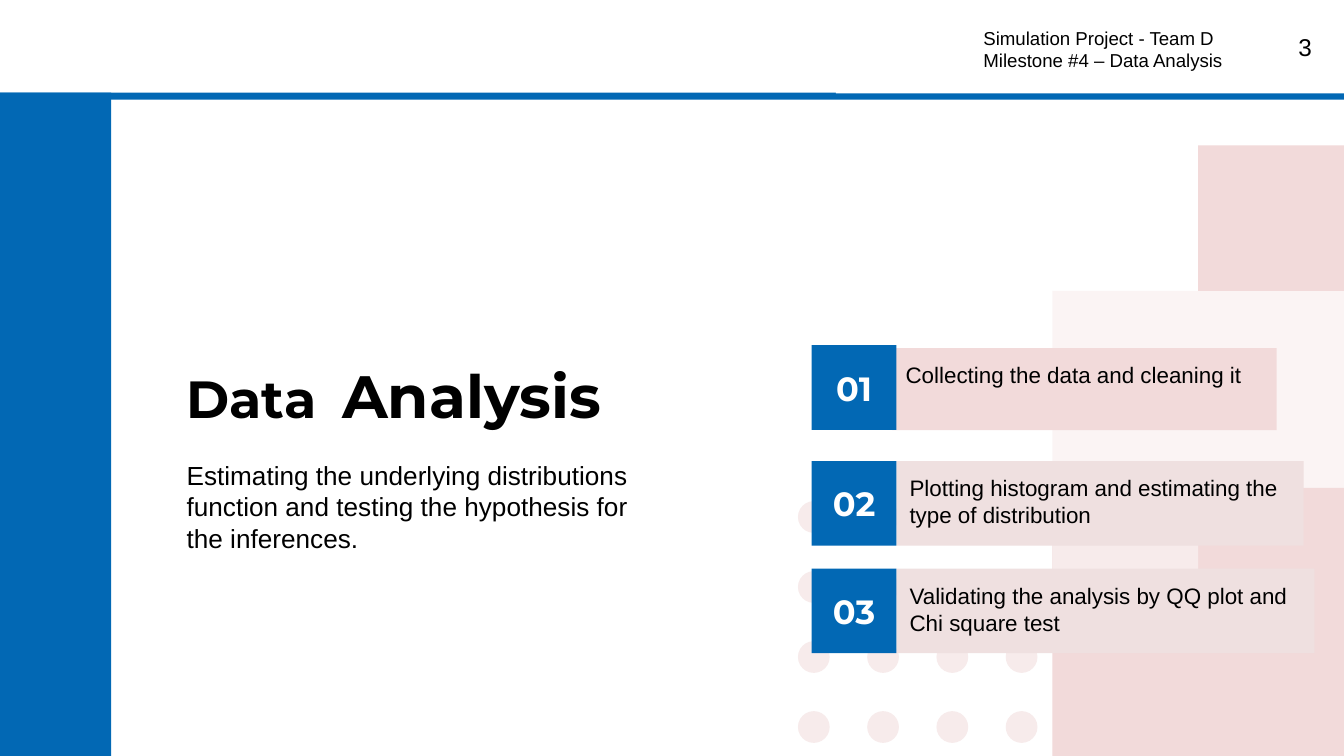
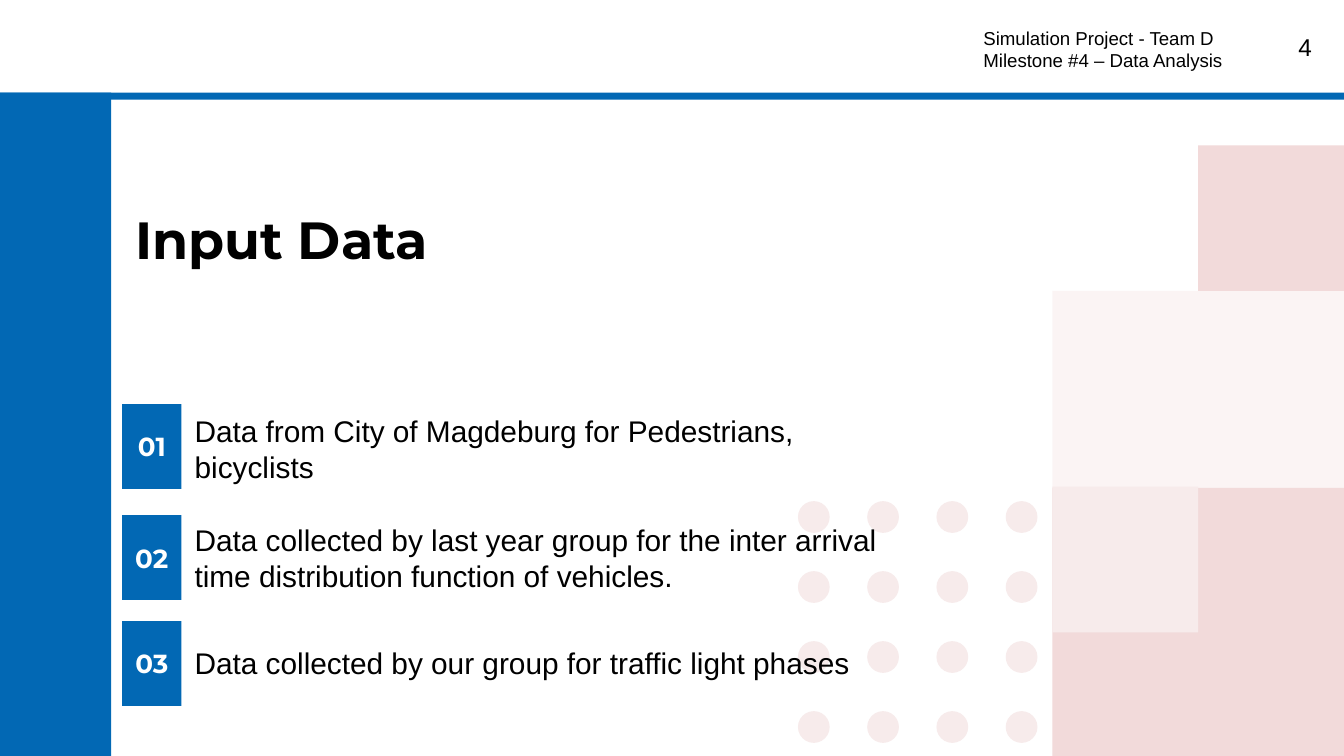
import pptx
import pptx.util
import pptx.dml.color
import pptx.enum.shapes
import pptx.enum.text
import lxml.etree

Pt = pptx.util.Pt
RGBColor = pptx.dml.color.RGBColor
SHAPE = pptx.enum.shapes.MSO_SHAPE
ALIGN = pptx.enum.text.PP_ALIGN
ANCHOR = pptx.enum.text.MSO_ANCHOR

BLUE = RGBColor(0x02, 0x68, 0xB4)
ROSE = RGBColor(0xF2, 0xDA, 0xDA)
PALE_ROSE = RGBColor(0xF7, 0xEB, 0xEB)
GREY_ROSE = RGBColor(0xEF, 0xE0, 0xE0)
WHITE = RGBColor(0xFF, 0xFF, 0xFF)
BLACK = RGBColor(0, 0, 0)

BODY = {"name": "Arial", "bold": False}
HEADING = {"name": "Montserrat", "bold": True}


def add_box(page, place, fill=None, kind=SHAPE.RECTANGLE):
    lengths = [Pt(value) for value in place]
    if fill is None:
        return page.shapes.add_textbox(*lengths)
    box = page.shapes.add_shape(kind, *lengths)
    box.shadow.inherit = False
    box.fill.solid()
    box.fill.fore_color.rgb = fill
    box.line.fill.background()
    return box


def write(box, paragraphs, font, color=BLACK, align=ALIGN.LEFT, anchor=ANCHOR.TOP,
          inset=(7.2, 7.2), after=0):
    side, end = inset
    frame_format = {
        "word_wrap": True, "vertical_anchor": anchor,
        "margin_left": Pt(side), "margin_right": Pt(side),
        "margin_top": Pt(end), "margin_bottom": Pt(end),
    }
    for key, value in frame_format.items():
        setattr(box.text_frame, key, value)
    for index, spans in enumerate(paragraphs):
        para = box.text_frame.paragraphs[0] if index == 0 else box.text_frame.add_paragraph()
        for key, value in {"alignment": align, "space_after": Pt(after)}.items():
            setattr(para, key, value)
        for text, size in spans:
            span = para.add_run()
            span.text = text
            for key, value in {**font, "size": Pt(size)}.items():
                setattr(span.font, key, value)
            span.font.color.rgb = color


deck = pptx.Presentation()
deck.slide_width = Pt(720)
deck.slide_height = Pt(405)

slides = [
    {
        "number": "3",
        "dots_per_row": [2, 2, 4, 4],
        "title": [("Data", 28), (" ", 48), ("Analysis", 32)],
        "title_place": (92.9, 169.2, 279.4, 69.8),
        "badge_left": 434.9, "badge_width": 45.4, "badge_size": 18,
        "badge_tops": [185, 247, 304.6],
        "item_size": 12, "item_after": 8, "item_inset": (7.2, 7.2),
        "items": [
            ("Collecting the data and cleaning it", (478.1, 186.5, 205.9, 43.9), ROSE),
            ("Plotting histogram and estimating the type of distribution",
             (480.2, 247, 218.2, 45.4), GREY_ROSE),
            ("Validating the analysis by QQ plot and Chi square test",
             (480.2, 304.6, 223.9, 45.4), GREY_ROSE),
        ],
    },
    {
        "number": "4",
        "dots_per_row": [4, 4, 4, 4],
        "title": [("Input Data", 28)],
        "title_place": (65.5, 103.7, 262.1, 53.3),
        "badge_left": 65.5, "badge_width": 31.7, "badge_size": 14,
        "badge_tops": [216.5, 276, 332.8],
        "item_size": 16, "item_after": 0, "item_inset": (7.2, 3.6),
        "items": [
            ("Data from City of Magdeburg for Pedestrians, bicyclists",
             (97.2, 217.4, 398.9, 46), None),
            ("Data collected by last year group for the inter arrival "
             "time distribution function of vehicles.", (97.2, 275.8, 398.9, 46), None),
            ("Data collected by our group for traffic light phases",
             (97.2, 342, 398.9, 26.6), None),
        ],
    },
]

pages = []
for content in slides:
    page = deck.slides.add_slide(deck.slide_layouts[6])
    pages.append(page)

    for row, count in enumerate(content["dots_per_row"]):
        for column in range(count):
            add_box(page, (427.5 + 37.1 * column, 268.5 + 37.5 * row, 17, 17),
                    PALE_ROSE, SHAPE.OVAL)

    veil = add_box(page, (563.8, 155.8, 156.2, 105.2), ROSE)
    color_element = veil.fill._xPr.find(".//" + pptx.oxml.ns.qn("a:srgbClr"))
    lxml.etree.SubElement(color_element, pptx.oxml.ns.qn("a:alpha"), val="28000")

    for place, fill in [
        ((0, 0, 59.6, 405), BLUE),
        ((641.9, 77.9, 78.1, 78), ROSE),
        ((563.8, 261.2, 156.2, 143.8), ROSE),
        ((563.8, 260.8, 78.1, 78), PALE_ROSE),
        ((0, 0, 720, 49.7), WHITE),
        ((0, 49.7, 720, 3.8), BLUE),
    ]:
        add_box(page, place, fill)

    if content["number"] == "3":
        add_box(page, (447.8, 0, 272.2, 50.1), WHITE)

    write(add_box(page, (666.7, 10.1, 43.2, 31)), [[(content["number"], 13)]],
          BODY, align=ALIGN.RIGHT)
    write(add_box(page, (519.8, 7.2, 167.8, 40.3)),
          [[("Simulation Project - Team D", 10)], [("Milestone #4 – Data Analysis", 10)]], BODY)
    write(add_box(page, content["title_place"]), [content["title"]], HEADING)

    for text, place, fill in content["items"]:
        write(add_box(page, place, fill), [[(text, content["item_size"])]], BODY,
              inset=content["item_inset"], after=content["item_after"])
    for index, top in enumerate(content["badge_tops"], 1):
        badge = add_box(page, (content["badge_left"], top, content["badge_width"], 45.4), BLUE)
        write(badge, [[(f"{index:02}", content["badge_size"])]], HEADING, WHITE,
              ALIGN.CENTER, ANCHOR.MIDDLE, (0, 7.2))

write(add_box(pages[0], (92.9, 239, 271.4, 74.9)),
      [[("Estimating the underlying distributions function and testing the "
         "hypothesis for the inferences.", 14)]], BODY, after=8)

deck.save("out.pptx")
